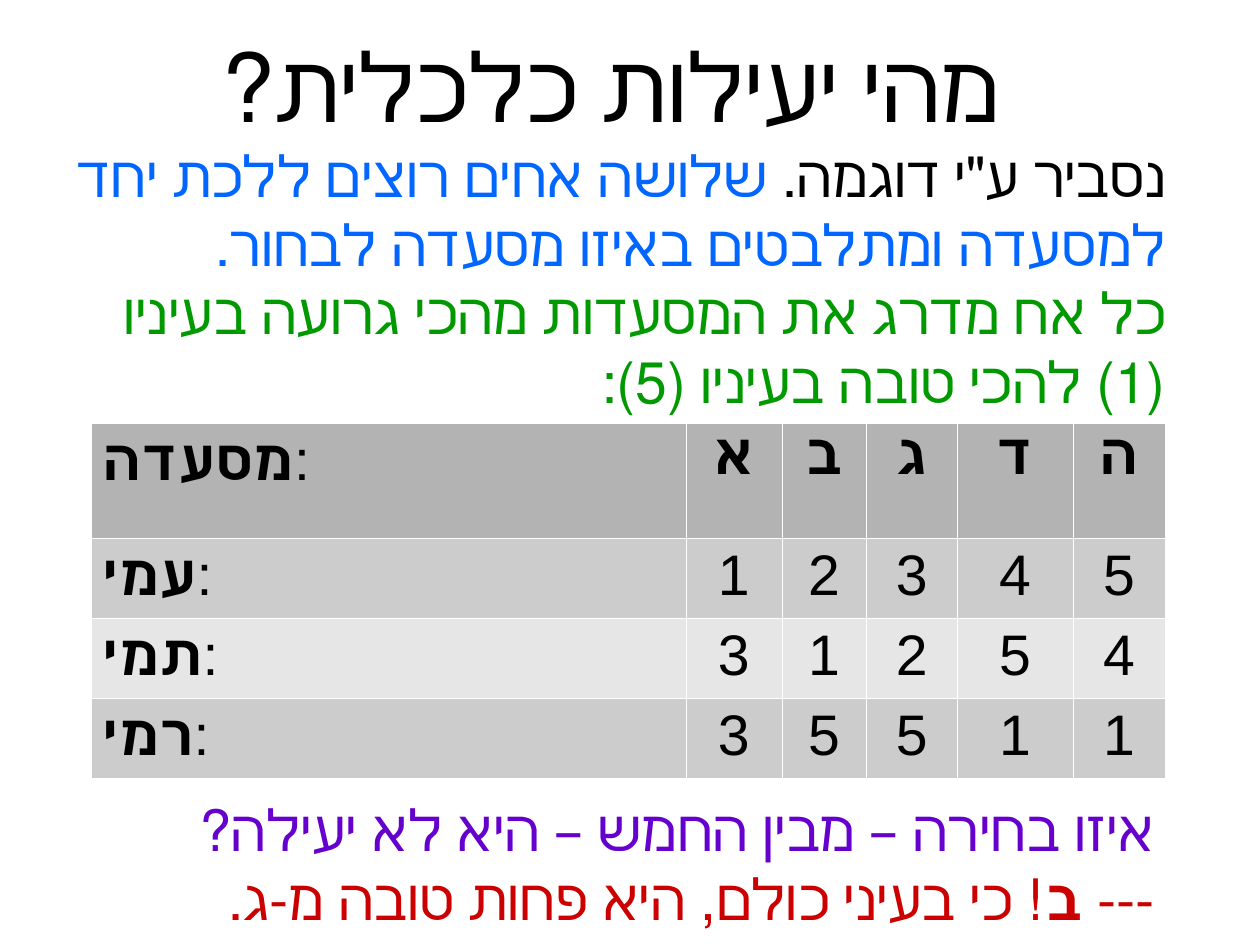
from dataclasses import dataclass

from lxml.etree import SubElement as Sub
from pptx import Presentation
from pptx.dml.color import RGBColor as Rgb
from pptx.enum.text import MSO_ANCHOR as Anchor, MSO_AUTO_SIZE as Fit, PP_ALIGN as Align
from pptx.oxml.ns import qn
from pptx.util import Cm, Inches, Pt


@dataclass(frozen=True)
class Theme:
    font: str = "Arial"
    big: int = 60
    body: int = 36
    black: str = "000000"
    blue: str = "0066FF"
    green: str = "009900"
    purple: str = "6600CC"
    red: str = "CC0000"
    head: str = "B3B3B3"
    bands: tuple = ("CCCCCC", "E6E6E6")
    rule: str = "FFFFFF"


def unit(n):
    """Length of n grid steps, ten steps to the inch."""
    return Inches(n / 10)


class Deck:
    def __init__(self, theme, width, height):
        self.theme = theme
        self.prs = Presentation()
        self.prs.slide_width, self.prs.slide_height = width, height
        self.slide = self.prs.slides.add_slide(self.prs.slide_layouts[6])

    def run(self, para, text, color, size, bold=False):
        run = para.add_run()
        run.text = text
        style = {"name": self.theme.font, "size": Pt(size), "bold": bold}
        for key, val in style.items():
            setattr(run.font, key, val)
        run.font.color.rgb = Rgb.from_string(color)

    def text(self, at, paras, size, align=Align.RIGHT, inset=(1, 0.5),
             anchor=Anchor.TOP, indent=0):
        """Right-to-left text box; each paragraph is a list of runs."""
        frame = self.slide.shapes.add_textbox(*map(unit, at)).text_frame
        side, edge = map(unit, inset)
        form = {"word_wrap": True, "auto_size": Fit.SHAPE_TO_FIT_TEXT,
                "vertical_anchor": anchor, "margin_left": side,
                "margin_right": side, "margin_top": edge, "margin_bottom": edge}
        for key, val in form.items():
            setattr(frame, key, val)
        for i, runs in enumerate(paras):
            para = frame.add_paragraph() if i else frame.paragraphs[0]
            para.alignment = align
            props = para._p.get_or_add_pPr()
            props.set("rtl", "1")
            if indent:
                props.set("marL", str(unit(indent)))
                props.set("indent", "0")
            for text, color, *bold in runs:
                self.run(para, text, color, size, *bold)

    def edge(self, cell):
        """Hairline on all four sides, placed ahead of the fill."""
        props = cell._tc.get_or_add_tcPr()
        for side in ("lnL", "lnR", "lnT", "lnB"):
            line = Sub(props, qn("a:" + side), w=str(Pt(0.06)))
            Sub(Sub(line, qn("a:solidFill")), qn("a:srgbClr"), val=self.theme.rule)

    def table(self, at, cols, rows, data):
        theme = self.theme
        grid = self.slide.shapes.add_table(len(rows), len(cols), *map(unit, at)).table
        grid.first_row = grid.horz_banding = False
        for col, width in zip(grid.columns, cols):
            col.width = unit(width)
        for row, height in zip(grid.rows, rows):
            row.height = unit(height)
        for r, (name, marks) in enumerate(data):
            shade = theme.bands[(r - 1) % 2] if r else theme.head
            for c, text in enumerate([name, *marks]):
                cell = grid.cell(r, c)
                self.edge(cell)
                cell.fill.solid()
                cell.fill.fore_color.rgb = Rgb.from_string(shade)
                para = cell.text_frame.paragraphs[0]
                para.alignment = Align.CENTER if c else Align.LEFT
                self.run(para, text, theme.black, theme.body, not (r and c))
                if not c:
                    self.run(para, ":", theme.black, theme.body)


def main():
    t = Theme()
    deck = Deck(t, Cm(28), Cm(21))

    # Title
    deck.text((5, 2.5, 99.2, 9.7), [[("מהי יעילות כלכלית?", t.black)]], t.big,
              Align.CENTER, (0, 0), Anchor.MIDDLE, 2.4)

    # Ratings of each restaurant by each brother
    deck.table((8, 37, 94, 30.7), (52, 8.4, 7.4, 7.95, 10.1, 8.1),
               (10.06, 7, 6.8, 6.8),
               [("מסעדה", "אבגדה"), ("עמי", "12345"),
                ("תמי", "31254"), ("רמי", "35511")])

    # Story
    deck.text((5, 11.8, 98, 23.4), [
        [('נסביר ע"י דוגמה. ', t.black),
         ("שלושה אחים רוצים ללכת יחד למסעדה ומתלבטים באיזו מסעדה לבחור. ", t.blue)],
        [("כל אח מדרג את המסעדות מהכי גרועה בעיניו (1) להכי טובה בעיניו (5):", t.green)],
    ], t.body)

    # Question and answer
    deck.text((6, 69, 96, 12.2), [
        [("איזו בחירה – מבין החמש – היא לא יעילה?", t.purple)],
        [("--- ", t.red), ("ב", t.red, True),
         ("! כי בעיני כולם, היא פחות טובה מ-ג.", t.red)],
    ], t.body)

    deck.prs.save("out.pptx")


if __name__ == "__main__":
    main()
